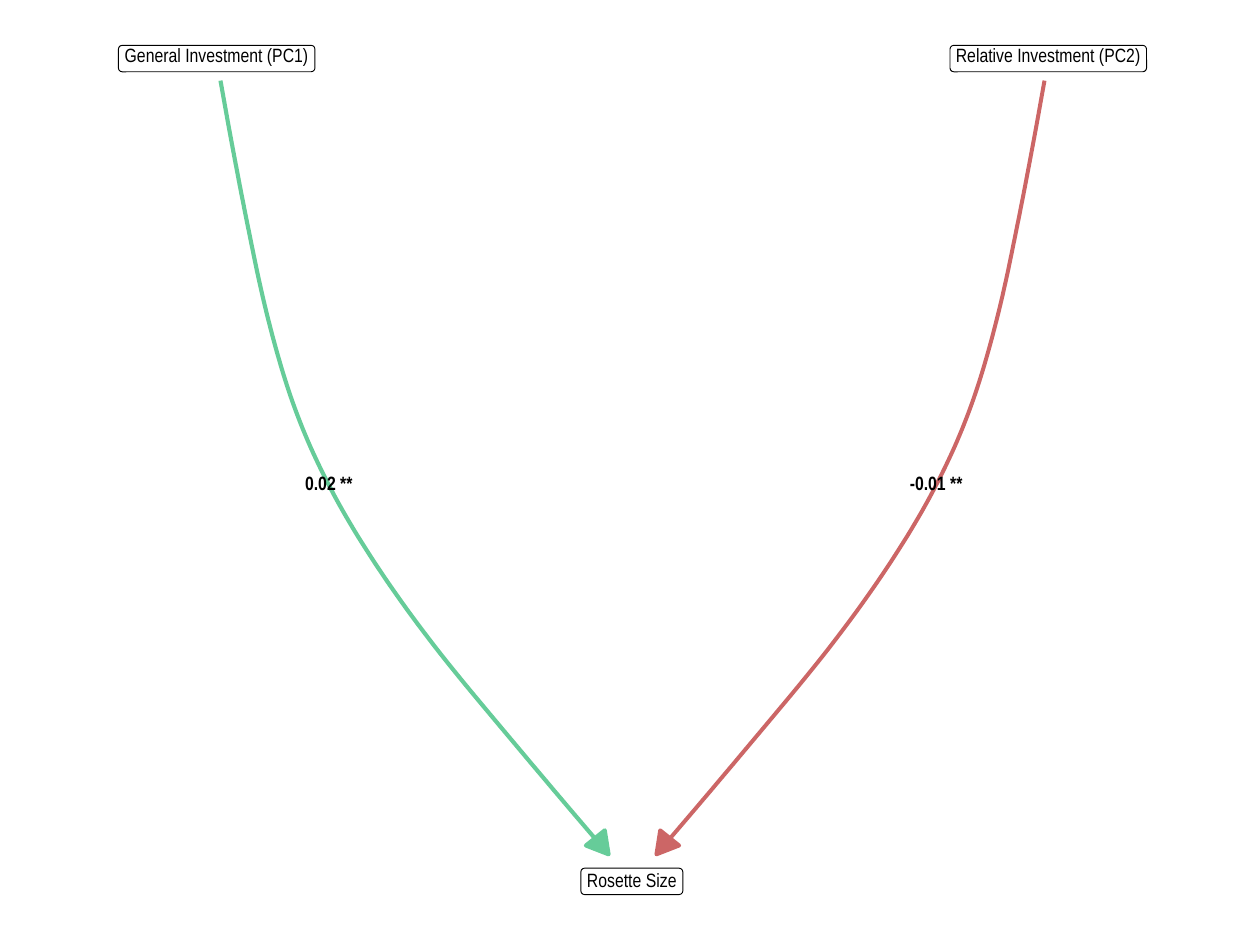
import pptx
import pptx.dml.color
import pptx.enum.shapes
import pptx.enum.text
import pptx.util
import pptx.oxml.ns
from lxml import etree

Inches = pptx.util.Inches
Pt = pptx.util.Pt

AXIS = 5.02  # the two paths mirror each other about this vertical
FONT = "Arial Narrow"
BLACK, WHITE = "000000", "FFFFFF"
GREEN, RED = "66CC99", "CC6666"

# Left path, from General Investment to Rosette Size
KNOTS = [
    (1.75, 0.64), (1.95, 1.71), (2.13, 2.54), (2.34, 3.24), (2.61, 3.85),
    (2.97, 4.46), (3.45, 5.13), (4.1, 5.92), (4.83, 6.78),
]
ARROWHEAD = [(4.65, 6.71), (4.83, 6.78), (4.8, 6.59)]


def color(value):
    return pptx.dml.color.RGBColor.from_string(value)


def smooth(knots, steps=12):
    """Return points on a Catmull-Rom spline through the knots."""
    def extend(a, b, c):
        return tuple(3 * p - 3 * q + r for p, q, r in zip(a, b, c))

    guides = [extend(*knots[:3]), *knots, extend(*knots[:-4:-1])]
    points = []
    for span in zip(guides, guides[1:], guides[2:], guides[3:]):
        for step in range(steps):
            t = step / steps
            points.append(tuple(
                b + t * (c - a) / 2
                + t ** 2 * (2 * a - 5 * b + 4 * c - d) / 2
                + t ** 3 * (3 * b - a - 3 * c + d) / 2
                for a, b, c, d in zip(*span)))
    return points + [knots[-1]]


def style(shape, line, width, fill=None):
    shape.shadow.inherit = False
    if fill:
        shape.fill.solid()
        shape.fill.fore_color.rgb = color(fill)
    else:
        shape.fill.background()
    shape.line.color.rgb = color(line)
    shape.line.width = Pt(width)


def add_outline(slide, points, line, width, fill=None):
    corners = [(Inches(x), Inches(y)) for x, y in points]
    builder = slide.shapes.build_freeform(*corners[0])
    builder.add_line_segments(corners[1:], close=fill is not None)
    outline = builder.convert_to_shape()
    style(outline, line, width, fill)
    # Round joins soften the arrowhead's corners
    etree.SubElement(outline.line._get_or_add_ln(), pptx.oxml.ns.qn("a:round"))


def add_arrow(slide, line, width, mirrored=False):
    def place(points):
        return [(2 * AXIS - x if mirrored else x, y) for x, y in points]

    add_outline(slide, place(smooth(KNOTS)), line, width)
    add_outline(slide, place(ARROWHEAD), line, width, fill=line)


def add_text(slide, text, left, top, width, height, size=11, bold=False):
    label = slide.shapes.add_textbox(
        Inches(left), Inches(top), Inches(width), Inches(height))
    frame = label.text_frame
    frame.word_wrap = False
    frame.margin_left = frame.margin_right = 0
    frame.margin_top = frame.margin_bottom = 0
    frame.vertical_anchor = pptx.enum.text.MSO_ANCHOR.MIDDLE
    paragraph = frame.paragraphs[0]
    paragraph.alignment = pptx.enum.text.PP_ALIGN.CENTER
    paragraph.line_spacing = Pt(size)
    run = paragraph.add_run()
    run.text = text
    run.font.name = FONT
    run.font.size = Pt(size)
    run.font.bold = bold
    run.font.color.rgb = color(BLACK)


def add_node(slide, text, left, top, width, text_top, text_height):
    height, corner = 0.21, 0.03
    node = slide.shapes.add_shape(
        pptx.enum.shapes.MSO_SHAPE.ROUNDED_RECTANGLE,
        Inches(left), Inches(top), Inches(width), Inches(height))
    node.adjustments[0] = corner / height
    style(node, BLACK, 0.53, fill=WHITE)
    add_text(slide, text, left, text_top, width, text_height)


def main():
    deck = pptx.Presentation()
    deck.slide_width, deck.slide_height = Inches(10), Inches(7.5)
    slide = deck.slides.add_slide(deck.slide_layouts[6])

    # Paths and their coefficients
    add_arrow(slide, GREEN, 2.35)
    add_arrow(slide, RED, 2.28, mirrored=True)
    add_text(slide, "0.02 **", 2.42, 3.79, 0.38, 0.11, bold=True)
    add_text(slide, "-0.01 **", 7.22, 3.79, 0.42, 0.11, bold=True)

    # Variables
    add_node(slide, "General Investment (PC1)", 0.94, 0.36, 1.56, 0.38, 0.14)
    add_node(slide, "Relative Investment (PC2)", 7.54, 0.36, 1.56, 0.38, 0.14)
    add_node(slide, "Rosette Size", 4.61, 6.89, 0.81, 6.94, 0.11)

    deck.save("out.pptx")


if __name__ == "__main__":
    main()
